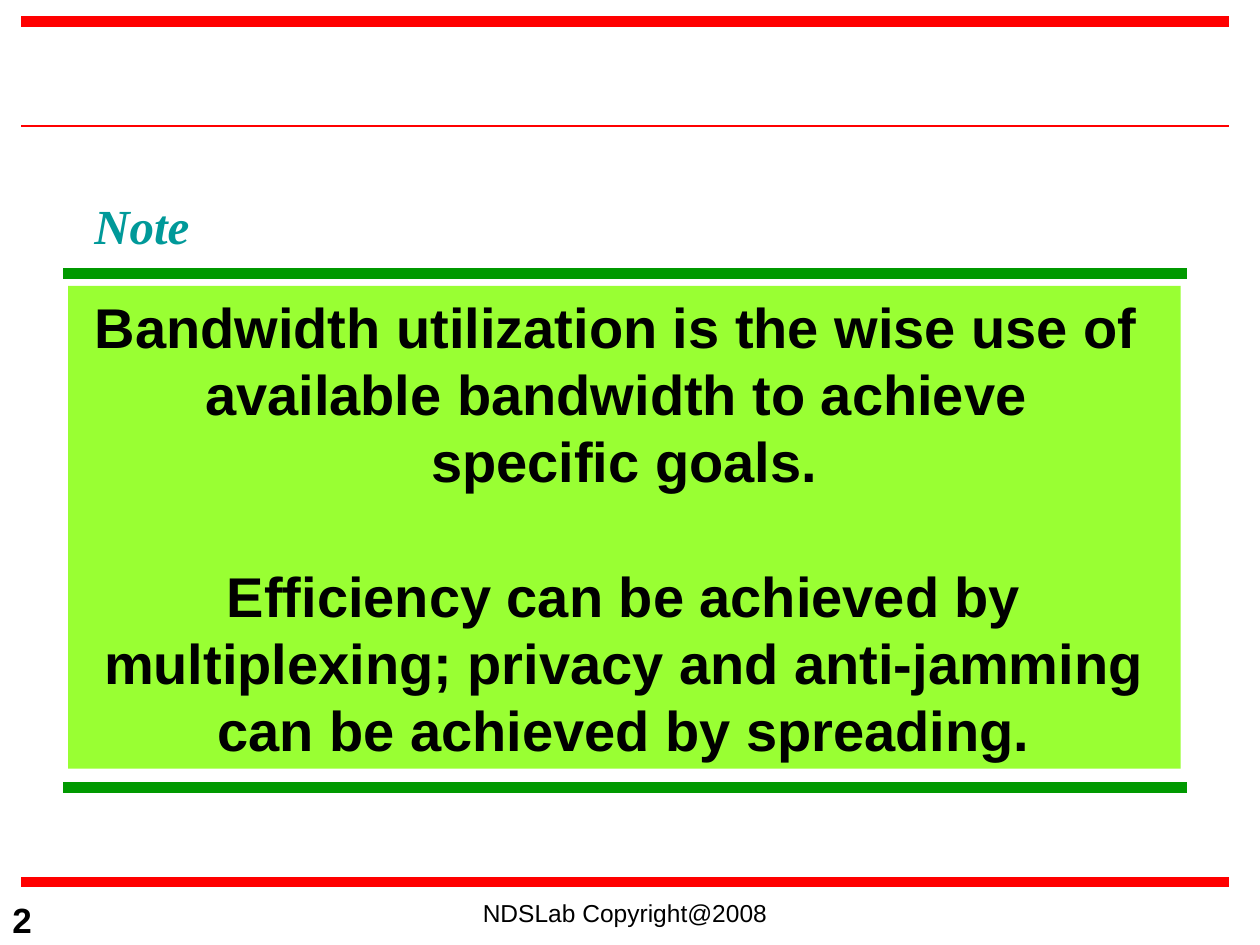
from pptx import Presentation
from pptx.dml.color import RGBColor
from pptx.enum.shapes import MSO_CONNECTOR, MSO_SHAPE
from pptx.enum.text import MSO_ANCHOR, PP_ALIGN
from pptx.oxml.ns import qn
from pptx.util import Inches, Pt
from lxml.etree import SubElement

RED = RGBColor(0xFF, 0x00, 0x00)
GREEN = RGBColor(0x00, 0x99, 0x00)
LIME = RGBColor(0x99, 0xFF, 0x33)
TEAL = RGBColor(0x00, 0x99, 0x99)
BLACK = RGBColor(0x00, 0x00, 0x00)

# Content; \v is a line break
NOTE = [
    "Bandwidth utilization is the wise use of \vavailable bandwidth to achieve \vspecific goals.",
    "Efficiency can be achieved by multiplexing; privacy and anti-jamming can be achieved by spreading.",
]
NOTE_PITCH = Pt(38.4)

# Rules: left, right, y, colour, width
RULES = [
    (0.17, 9.75, 0.17, RED, 6),
    (0.17, 9.75, 7, RED, 6),
    (0.17, 9.75, 1, RED, 1.5),
    (0.5, 9.42, 2.17, GREEN, 6),
    (0.5, 9.42, 6.25, GREEN, 6),
]

# Labels: text, box, size, font, colour, bold, italic, alignment, wrap
LABELS = [
    ("NDSLab Copyright@2008", (2.75, 7.08, 4.42, 0.42), 14, "Arial", BLACK,
     False, False, PP_ALIGN.CENTER, True),
    ("2", (0, 7.08, 2.5, 0.42), 20, "Arial", BLACK,
     True, False, PP_ALIGN.LEFT, True),
    ("Note", (0.65, 1.5, 0.96, 0.57), 28, "Times New Roman", TEAL,
     True, True, PP_ALIGN.LEFT, False),
]


def style(p, size, name, color, bold, italic, align):
    p.alignment = align
    p.font.size = Pt(size)
    p.font.name = name
    p.font.color.rgb = color
    p.font.bold = bold
    p.font.italic = italic


def add_rule(s, left, right, y, color, width):
    line = s.shapes.add_connector(
        MSO_CONNECTOR.STRAIGHT, Inches(left), Inches(y), Inches(right), Inches(y))
    line.line.color.rgb = color
    line.line.width = Pt(width)
    SubElement(line._element.spPr, qn("a:effectLst"))


def add_label(s, text, box, size, name, color, bold, italic, align, wrap):
    tf = s.shapes.add_textbox(*map(Inches, box)).text_frame
    tf.word_wrap = wrap
    tf.text = text
    style(tf.paragraphs[0], size, name, color, bold, italic, align)


def add_note(s):
    sp = s.shapes.add_shape(
        MSO_SHAPE.RECTANGLE, Inches(0.54), Inches(2.27), Inches(8.83), Inches(3.83))
    sp.shadow.inherit = False
    sp.fill.solid()
    sp.fill.fore_color.rgb = LIME
    sp.line.fill.background()
    tf = sp.text_frame
    tf.word_wrap = True
    tf.vertical_anchor = MSO_ANCHOR.TOP
    for i, text in enumerate(NOTE):
        p = tf.add_paragraph() if i else tf.paragraphs[0]
        p.text = text
        p.line_spacing = NOTE_PITCH
        p.space_before = NOTE_PITCH if i else Pt(0)
        style(p, 32, "Arial", BLACK, True, False, PP_ALIGN.CENTER)


prs = Presentation()
prs.slide_width, prs.slide_height = Inches(10), Inches(7.5)
s = prs.slides.add_slide(prs.slide_layouts[6])

# Frame and note rules
for rule in RULES:
    add_rule(s, *rule)

# Note panel, then footer, page number and heading
add_note(s)
for label in LABELS:
    add_label(s, *label)

prs.save("out.pptx")
